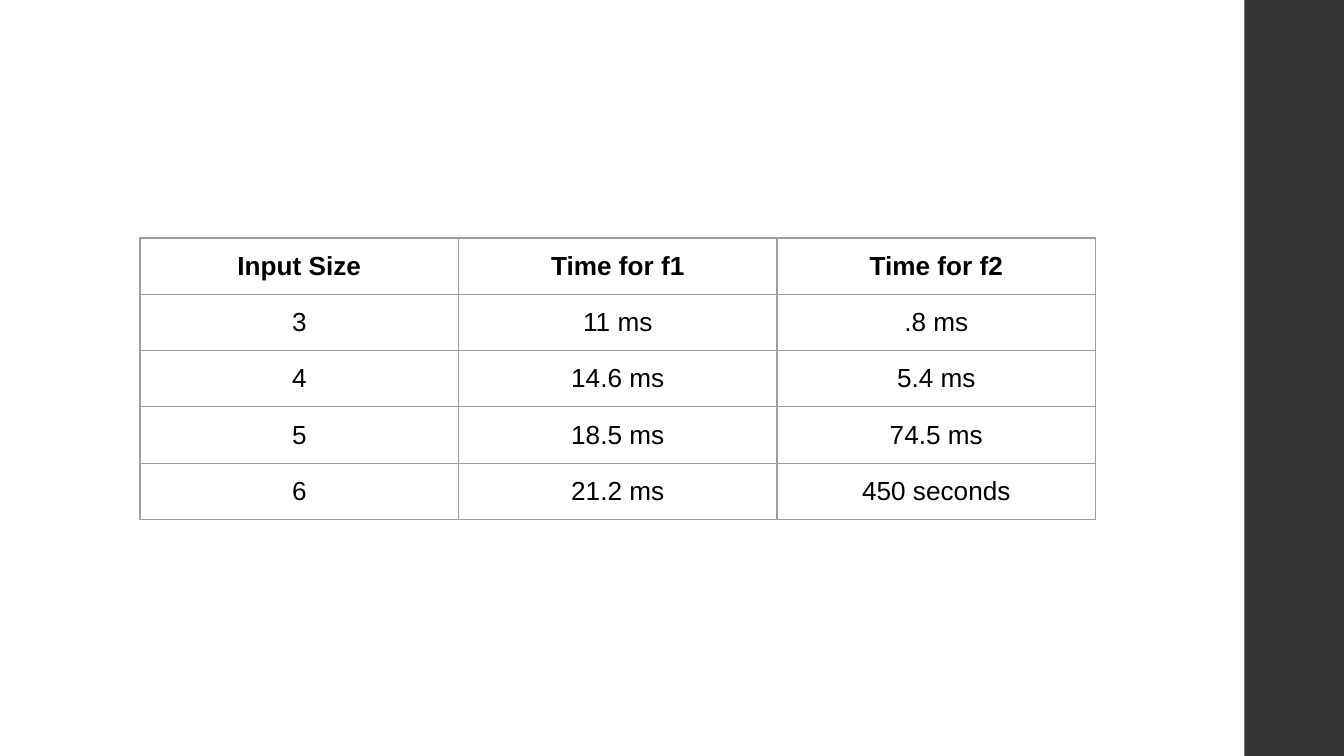
from dataclasses import dataclass

from lxml import etree
from pptx import Presentation
from pptx.dml.color import RGBColor
from pptx.enum import shapes, text
from pptx.oxml import ns
from pptx.util import Pt

ROWS = [
    ("Input Size", "Time for f1", "Time for f2"),
    ("3", "11 ms", ".8 ms"),
    ("4", "14.6 ms", "5.4 ms"),
    ("5", "18.5 ms", "74.5 ms"),
    ("6", "21.2 ms", "450 seconds"),
]


@dataclass(frozen=True)
class Theme:
    font: str = "Arial"
    size: float = 14
    ink: str = "000000"
    background: str = "FFFFFF"
    sidebar: str = "343437"
    border: str = "9E9E9E"
    border_width: float = 0.75


THEME = Theme()
SLIDE_WIDTH, SLIDE_HEIGHT = 720, 405
SIDEBAR_LEFT = 666.7
TABLE_LEFT, TABLE_TOP = 75, 127.5
COLUMN_WIDTH, ROW_HEIGHT = 170.65, 30
CELL_MARGIN = 7.2


def write(frame, content, bold=False, color=THEME.ink, size=THEME.size,
          align=text.PP_ALIGN.CENTER):
    paragraph = frame.paragraphs[0]
    paragraph.alignment = align
    run = paragraph.add_run()
    run.text = content
    font = run.font
    font.name, font.size, font.bold = THEME.font, Pt(size), bold
    font.color.rgb = RGBColor.from_string(color)


def add_borders(cell):
    properties = cell._tc.get_or_add_tcPr()
    for index, side in enumerate(("lnL", "lnR", "lnT", "lnB")):
        line = etree.Element(ns.qn(f"a:{side}"), w=str(Pt(THEME.border_width)))
        fill = etree.SubElement(line, ns.qn("a:solidFill"))
        etree.SubElement(fill, ns.qn("a:srgbClr"), val=THEME.border)
        properties.insert(index, line)  # borders come before the cell fill


def add_sidebar(slide):
    sidebar = slide.shapes.add_shape(
        shapes.MSO_SHAPE.RECTANGLE, Pt(SIDEBAR_LEFT), 0,
        Pt(SLIDE_WIDTH - SIDEBAR_LEFT), Pt(SLIDE_HEIGHT))
    sidebar.shadow.inherit = False
    sidebar.fill.solid()
    sidebar.fill.fore_color.rgb = RGBColor.from_string(THEME.sidebar)
    sidebar.line.fill.background()


def add_timing_table(slide):
    row_count, column_count = len(ROWS), len(ROWS[0])
    table = slide.shapes.add_table(
        row_count, column_count, Pt(TABLE_LEFT), Pt(TABLE_TOP),
        Pt(COLUMN_WIDTH * column_count), Pt(ROW_HEIGHT * row_count)).table
    table.horz_banding = False
    for column in table.columns:
        column.width = Pt(COLUMN_WIDTH)
    for row_index, values in enumerate(ROWS):
        table.rows[row_index].height = Pt(ROW_HEIGHT)
        for column_index, value in enumerate(values):
            cell = table.cell(row_index, column_index)
            cell.margin_left = cell.margin_right = Pt(CELL_MARGIN)
            cell.margin_top = cell.margin_bottom = Pt(CELL_MARGIN)
            cell.fill.background()
            add_borders(cell)
            write(cell.text_frame, value, bold=row_index == 0)


def main():
    presentation = Presentation()
    presentation.slide_width = Pt(SLIDE_WIDTH)
    presentation.slide_height = Pt(SLIDE_HEIGHT)
    slide = presentation.slides.add_slide(presentation.slide_layouts[6])
    slide.background.fill.solid()
    slide.background.fill.fore_color.rgb = RGBColor.from_string(THEME.background)
    add_sidebar(slide)
    add_timing_table(slide)
    presentation.save("out.pptx")


if __name__ == "__main__":
    main()
